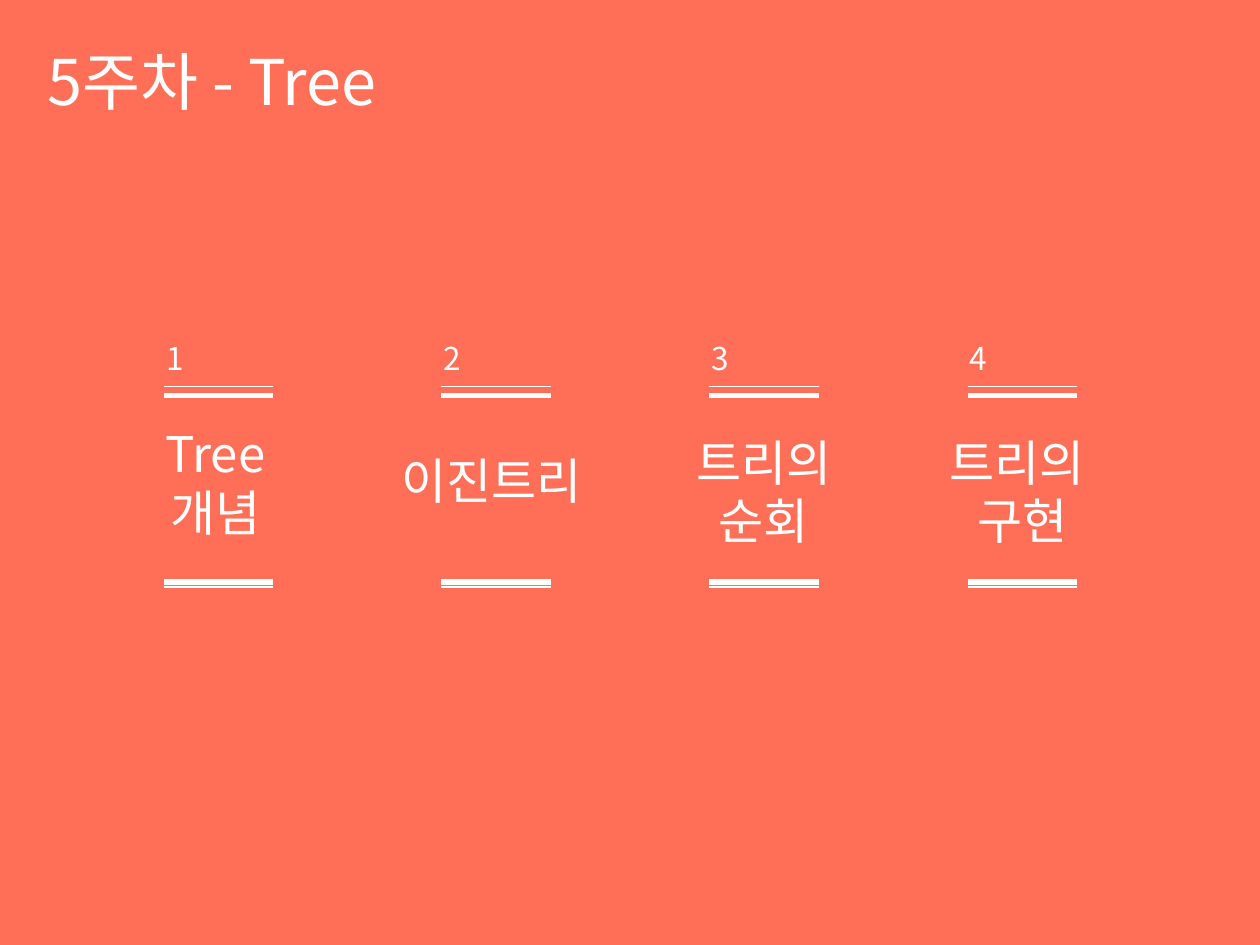
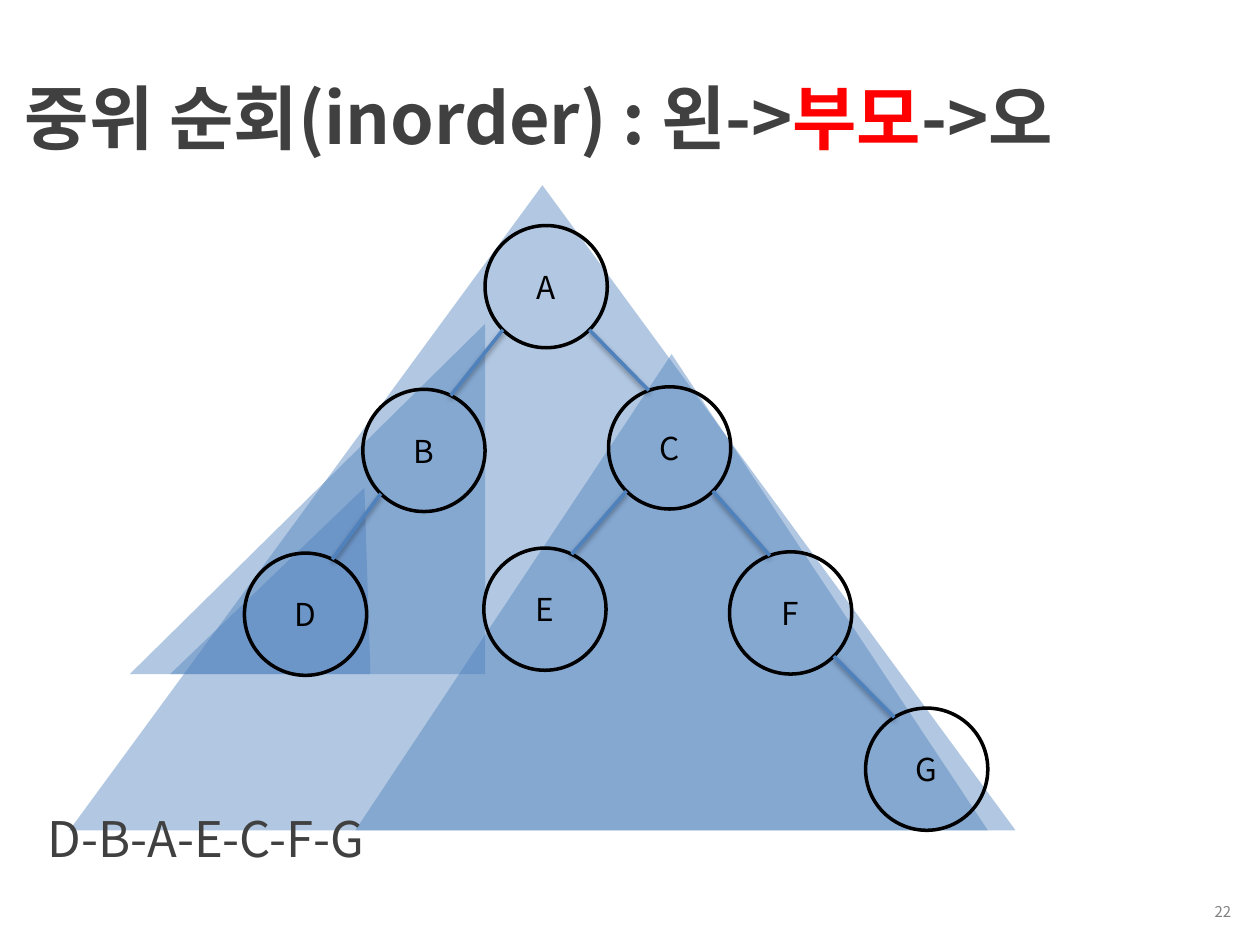
from math import cos, radians, sin

from lxml.etree import SubElement
from pptx import Presentation
from pptx.dml.color import RGBColor
from pptx.enum.shapes import MSO_CONNECTOR, MSO_SHAPE
from pptx.enum.text import MSO_ANCHOR, MSO_AUTO_SIZE, PP_ALIGN
from pptx.oxml.ns import qn
from pptx.util import Inches, Pt

# The grid has 100 columns and 75 rows; every box is (column, row, columns, rows).
COLUMNS, ROWS = 100, 75
UNIT = Inches(0.1)
FONT = "Noto Sans CJK KR"
CORAL, WHITE, BLACK = "FF6E57", "FFFFFF", "000000"
DARK, GREY, RED, BLUE = "404040", "808080", "FF0000", "4F81BD"

RULE_WIDTH = 8.7
RULES = [(4.3, 0.75), (5, 3), (19.8, 3), (20.2, 0.75)]
# Left edge of the rules, title box relative to it (column, row, columns, rows), title
TOPICS = [
    (13, (-3.9, 6.7, 16, 10.4), ["Tree", "개념"]),
    (35, (-5.8, 8.9, 19.6, 5.7), ["이진트리"]),
    (56.3, (-2.6, 7.4, 13.8, 10.4), ["트리의 순회"]),
    (76.8, (-4, 7.4, 16.7, 10.4), ["트리의 ", "구현"]),
]

NODE_SIZE = 9.7
NODES = {"A": (33, 3.2), "B": (23.3, 16.2), "C": (42.8, 16), "D": (13.9, 29.2),
         "E": (32.9, 28.8), "F": (52.4, 29.1), "G": (63.2, 41.5)}
TO_LEFT, TO_RIGHT = 135, 45
# Parent, child, angle where the edge leaves the parent, angle where it meets the child
EDGES = [("A", "B", TO_LEFT, -64), ("B", "D", TO_LEFT, -64), ("A", "C", TO_RIGHT, -110),
         ("C", "F", TO_RIGHT, -110), ("C", "E", TO_LEFT, -64), ("F", "G", TO_RIGHT, -122)]
# Box relative to the tree and position of the peak
SUBTREES = [((22.7, 13.4, 50.2, 37.8), 0.5), ((8, 24, 15.9, 14.8), 0.97),
            ((4.8, 11, 28.2, 27.8), 1), ((0, 0, 75.1, 51.2), 0.5)]


def color(value):
    return RGBColor.from_string(value)


def emu(*lengths):
    return [int(length * UNIT) for length in lengths]


def inside(outer, box):
    """Turn a box or point relative to outer into one on the slide."""
    return (outer[0] + box[0], outer[1] + box[1], *box[2:])


def write(frame, paragraphs, size, align=PP_ALIGN.LEFT, bold=False):
    """Fill a text frame; each paragraph is a list of (text, colour) pairs."""
    for index, spans in enumerate(paragraphs):
        para = frame.add_paragraph() if index else frame.paragraphs[0]
        para.alignment = align
        for text, tint in spans:
            span = para.add_run()
            span.text = text
            for name, value in {"name": FONT, "size": Pt(size), "bold": bold}.items():
                setattr(span.font, name, value)
            span.font.color.rgb = color(tint)
            SubElement(span.font._element, qn("a:ea"), typeface=FONT)


def add_text(page, box, paragraphs, size, anchor=MSO_ANCHOR.TOP,
             fit=MSO_AUTO_SIZE.SHAPE_TO_FIT_TEXT, **style):
    frame = page.shapes.add_textbox(*emu(*box)).text_frame
    settings = {"word_wrap": True, "auto_size": fit, "vertical_anchor": anchor}
    for name, value in settings.items():
        setattr(frame, name, value)
    write(frame, paragraphs, size, **style)


def add_figure(page, preset, box, fill=None, alpha=None, line=None):
    shape = page.shapes.add_shape(preset, *emu(*box))
    shape.shadow.inherit = False
    if fill:
        shape.fill.solid()
        shape.fill.fore_color.rgb = color(fill)
        if alpha:
            tint = shape._element.spPr.find(f"{qn('a:solidFill')}/{qn('a:srgbClr')}")
            SubElement(tint, qn("a:alpha"), val=str(alpha * 1000))
    else:
        shape.fill.background()
    if line:
        shape.line.color.rgb = color(line)
        shape.line.width = Pt(2)
    else:
        shape.line.fill.background()
    return shape


def add_line(page, start, end, tint, width, shadow=False):
    line = page.shapes.add_connector(MSO_CONNECTOR.STRAIGHT, *emu(*start, *end))
    line.line.color.rgb = color(tint)
    line.line.width = Pt(width)
    effects = SubElement(line._element.spPr, qn("a:effectLst"))
    if shadow:
        outer = SubElement(effects, qn("a:outerShdw"), blurRad=str(Pt(3.1)),
                           dist=str(Pt(1.6)), dir="5400000", rotWithShape="0")
        black = SubElement(outer, qn("a:srgbClr"), val=BLACK)
        SubElement(black, qn("a:alpha"), val="38000")


def add_topic(page, corner, number, title_box, title):
    """Draw one numbered agenda entry between its double rules."""
    add_text(page, inside(corner, title_box), [[(text, WHITE)] for text in title], 28,
             align=PP_ALIGN.CENTER)
    for row, width in RULES:
        add_line(page, inside(corner, (0, row)), inside(corner, (RULE_WIDTH, row)),
                 WHITE, width)
    add_text(page, inside(corner, (-0.8, 0, 12.6, 4)), [[(str(number), WHITE)]], 18)


def rim(tree, node, degrees):
    """Point on a node's circle, clockwise from its right side."""
    left, top = inside(tree, NODES[node])
    radius, angle = NODE_SIZE / 2, radians(degrees)
    return left + radius * (1 + cos(angle)), top + radius * (1 + sin(angle))


def add_tree(page, tree):
    for box, peak in SUBTREES:
        triangle = add_figure(page, MSO_SHAPE.ISOSCELES_TRIANGLE, inside(tree, box), BLUE, 44)
        triangle.adjustments[0] = peak
    for letter, corner in NODES.items():
        circle = add_figure(page, MSO_SHAPE.OVAL,
                            inside(tree, (*corner, NODE_SIZE, NODE_SIZE)), line=BLACK)
        circle.text_frame.vertical_anchor = MSO_ANCHOR.MIDDLE
        write(circle.text_frame, [[(letter, BLACK)]], 18, align=PP_ALIGN.CENTER)
    for parent, child, leave, arrive in EDGES:
        add_line(page, rim(tree, parent, leave), rim(tree, child, arrive), BLUE, 2, shadow=True)


def build_agenda(page):
    add_figure(page, MSO_SHAPE.RECTANGLE, (0, 0, COLUMNS, ROWS), CORAL)
    for number, (left, title_box, title) in enumerate(TOPICS, 1):
        add_topic(page, (left, 26.4), number, title_box, title)
    add_text(page, (2.8, 2.9, 33.9, 7.1), [[("5주차 - Tree", WHITE)]], 36)


def build_inorder(page):
    add_text(page, (77.6, 71, 21.1, 2.7), [[("22", GREY)]], 8.5, anchor=MSO_ANCHOR.MIDDLE,
             fit=MSO_AUTO_SIZE.NONE, align=PP_ALIGN.RIGHT)
    add_tree(page, (5.5, 14.7))
    heading = [("중위 순회(inorder) : 왼->", DARK), ("부모", RED), ("->오", DARK)]
    add_text(page, (1, 5.4, 93.7, 7.7), [heading], 40, bold=True)
    add_text(page, (2.8, 63.7, 70.9, 5.7), [[("D-B-A-E-C-F-G", DARK)]], 28)


def main():
    deck = Presentation()
    deck.slide_width, deck.slide_height = emu(COLUMNS, ROWS)
    for build in (build_agenda, build_inorder):
        build(deck.slides.add_slide(deck.slide_layouts[6]))
    deck.save("out.pptx")


if __name__ == "__main__":
    main()
